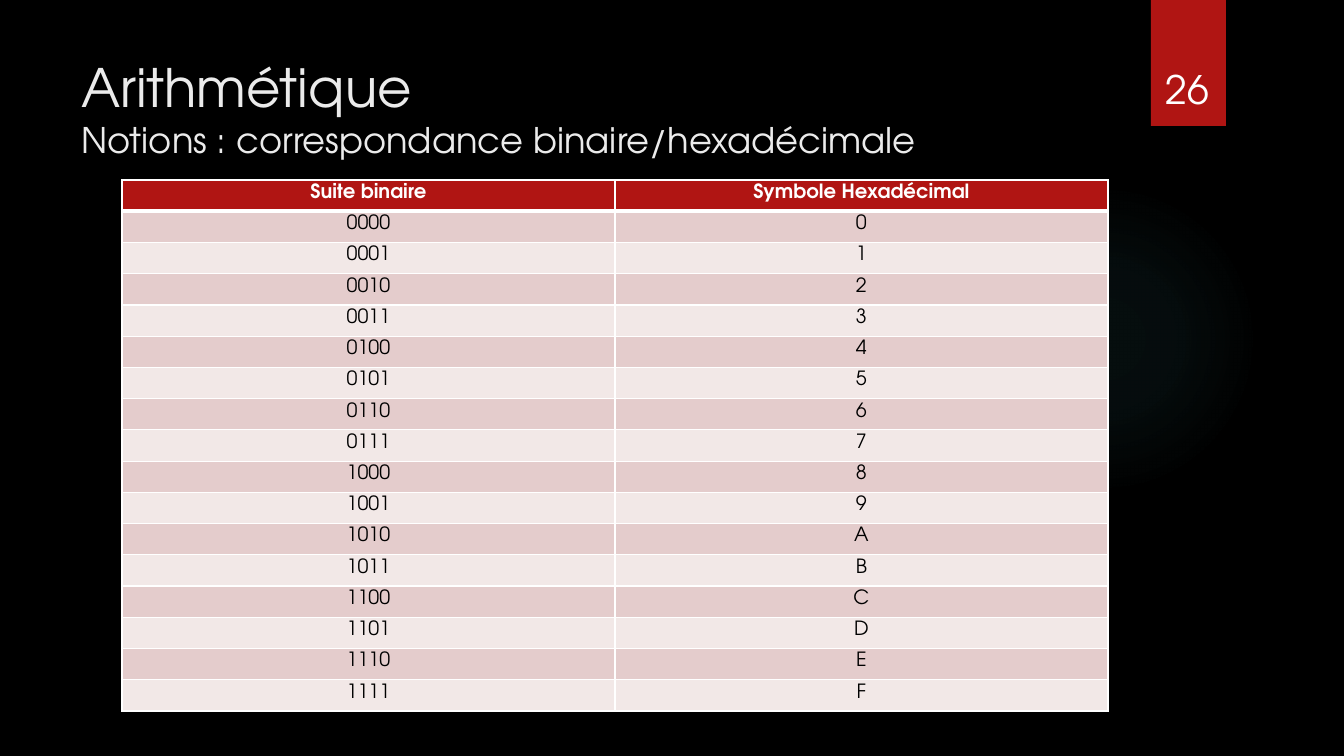
import pptx
import pptx.util
import pptx.dml.color
import pptx.enum.shapes
import pptx.enum.text
import pptx.oxml
import pptx.oxml.ns

RGBColor = pptx.dml.color.RGBColor
PP_ALIGN = pptx.enum.text.PP_ALIGN
MSO_ANCHOR = pptx.enum.text.MSO_ANCHOR
MSO_SHAPE = pptx.enum.shapes.MSO_SHAPE

FONT = "TeX Gyre Adventor"
BLACK = RGBColor(0x00, 0x00, 0x00)
WHITE = RGBColor(0xFF, 0xFF, 0xFF)
TITLE_GREY = RGBColor(0xEB, 0xEB, 0xEB)
RED = RGBColor(0xB0, 0x15, 0x13)
BAND_DARK = RGBColor(0xE4, 0xCC, 0xCC)
BAND_LIGHT = RGBColor(0xF2, 0xE8, 0xE7)
GLOW = RGBColor(0x50, 0xB9, 0xC1)

TITLE = [("Arithmétique", 37.8), ("Notions : correspondance binaire/hexadécimale", 25.2)]
PAGE = "26"
HEADER = ("Suite binaire", "Symbole Hexadécimal")
ROWS = [HEADER] + [(f"{n:04b}", f"{n:X}") for n in range(16)]

SLIDE_SIZE = (1344, 756)
GLOW_BOX = (949, 184, 310, 310)
TAB_BOX = (1151, 0, 75, 126)
TITLE_BOX = (71, 50, 1037, 154)
TABLE_BOX = (122, 180, 986, 531)
PAGE_BOX = (1141, 32, 93, 85)
CELL_TOP = 4
GLOW_STOPS = [(0, 7), (36, 6), (69, 0)]


def px(n):
    return pptx.util.Emu(round(n * 914400 / 100.8))


def box(lengths):
    return [px(n) for n in lengths]


def add_run(p, text, size, color, bold=False):
    r = p.add_run()
    r.text = text
    r.font.name = FONT
    r.font.size = pptx.util.Pt(size)
    r.font.bold = bold
    r.font.color.rgb = color


def add_plain_shape(s, kind, lengths):
    sp = s.shapes.add_shape(kind, *box(lengths))
    sp.shadow.inherit = False
    sp.line.fill.background()
    return sp


def fill_glow(sp):
    stops = "".join(
        f'<a:gs pos="{pos * 1000}"><a:srgbClr val="{GLOW}">'
        f'<a:alpha val="{alpha * 1000}"/></a:srgbClr></a:gs>'
        for pos, alpha in GLOW_STOPS)
    grad = pptx.oxml.parse_xml(
        f'<a:gradFill {pptx.oxml.ns.nsdecls("a")}><a:gsLst>{stops}</a:gsLst>'
        '<a:path path="circle"><a:fillToRect l="50000" t="50000" r="50000" b="50000"/>'
        '</a:path></a:gradFill>')
    sp.fill.background()
    spPr = sp.element.spPr
    spPr.replace(spPr.find(pptx.oxml.ns.qn("a:noFill")), grad)


def set_borders(cell, widths):
    tcPr = cell._tc.get_or_add_tcPr()
    for i, (side, width) in enumerate(zip("LRTB", widths)):
        tcPr.insert(i, pptx.oxml.parse_xml(
            f'<a:ln{side} {pptx.oxml.ns.nsdecls("a")} w="{pptx.util.Pt(width)}">'
            f'<a:solidFill><a:srgbClr val="{WHITE}"/></a:solidFill></a:ln{side}>'))


def fill_title(sp):
    sp.left, sp.top, sp.width, sp.height = box(TITLE_BOX)
    tf = sp.text_frame
    tf.word_wrap = True
    tf.auto_size = pptx.enum.text.MSO_AUTO_SIZE.NONE
    tf.vertical_anchor = MSO_ANCHOR.TOP
    p = tf.paragraphs[0]
    p.alignment = PP_ALIGN.LEFT
    for i, (text, size) in enumerate(TITLE):
        if i:
            p.add_line_break()
        add_run(p, text, size, TITLE_GREY)


def add_code_table(s):
    frame = s.shapes.add_table(len(ROWS), len(HEADER), *box(TABLE_BOX))
    table = frame.table
    for i, row in enumerate(ROWS):
        head = i == 0
        band = BAND_DARK if i % 2 else BAND_LIGHT
        for j, text in enumerate(row):
            cell = table.cell(i, j)
            cell.margin_top = px(CELL_TOP)
            cell.margin_bottom = 0
            cell.vertical_anchor = MSO_ANCHOR.TOP
            cell.fill.solid()
            cell.fill.fore_color.rgb = RED if head else band
            set_borders(cell, (1, 1, 3 if i == 1 else 1, 3 if head else 1))
            p = cell.text_frame.paragraphs[0]
            p.alignment = PP_ALIGN.CENTER
            add_run(p, text, 14, WHITE if head else BLACK, head)


def add_page_number(s):
    tf = s.shapes.add_textbox(*box(PAGE_BOX)).text_frame
    tf.word_wrap = True
    tf.vertical_anchor = MSO_ANCHOR.BOTTOM
    p = tf.paragraphs[0]
    p.alignment = PP_ALIGN.CENTER
    add_run(p, PAGE, 28, WHITE)


def main():
    prs = pptx.Presentation()
    prs.slide_width, prs.slide_height = box(SLIDE_SIZE)
    s = prs.slides.add_slide(prs.slide_layouts[5])
    s.background.fill.solid()
    s.background.fill.fore_color.rgb = BLACK
    fill_title(s.shapes.title)
    fill_glow(add_plain_shape(s, MSO_SHAPE.OVAL, GLOW_BOX))
    tab = add_plain_shape(s, MSO_SHAPE.RECTANGLE, TAB_BOX)
    tab.fill.solid()
    tab.fill.fore_color.rgb = RED
    add_code_table(s)
    add_page_number(s)
    prs.save("out.pptx")


if __name__ == "__main__":
    main()
